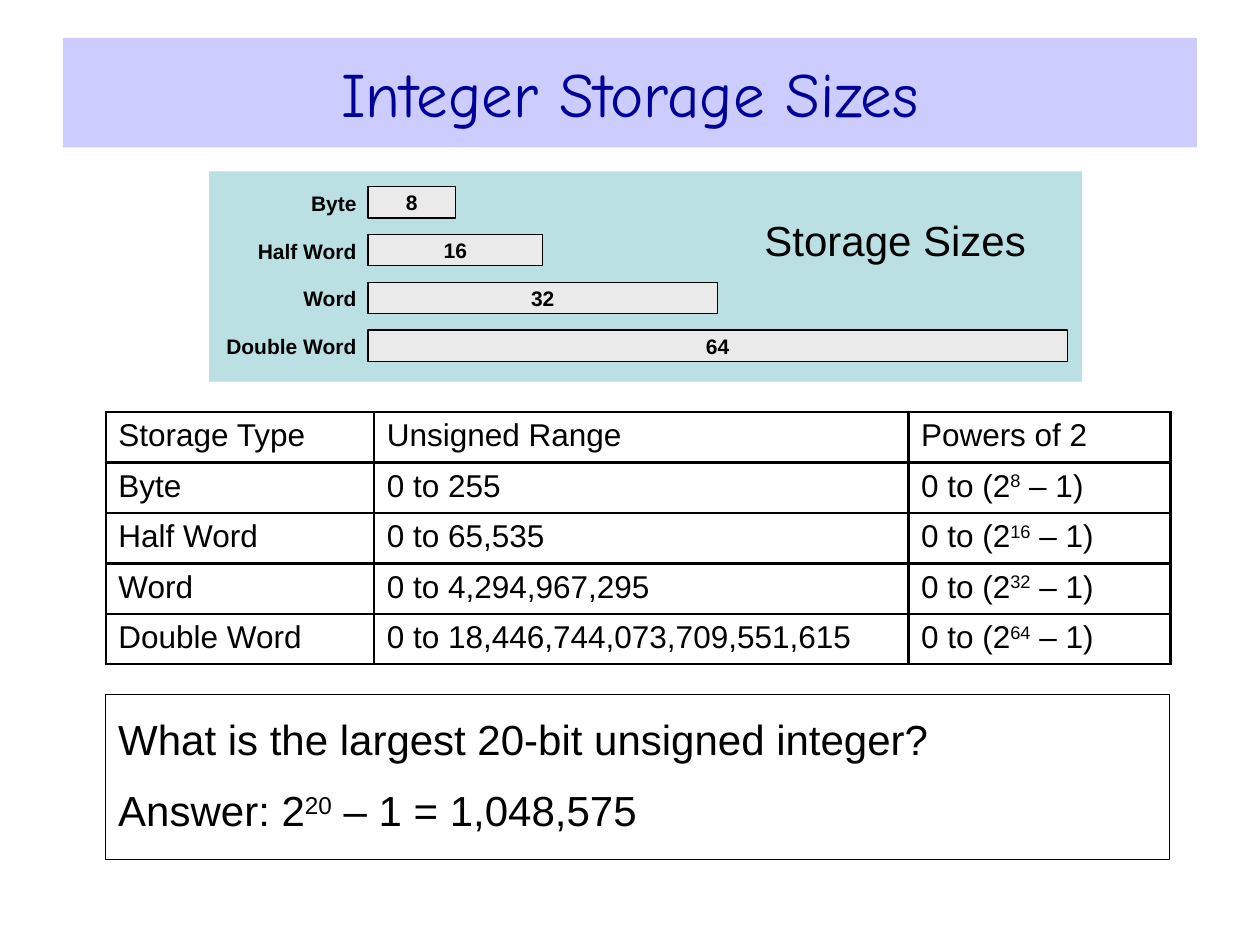
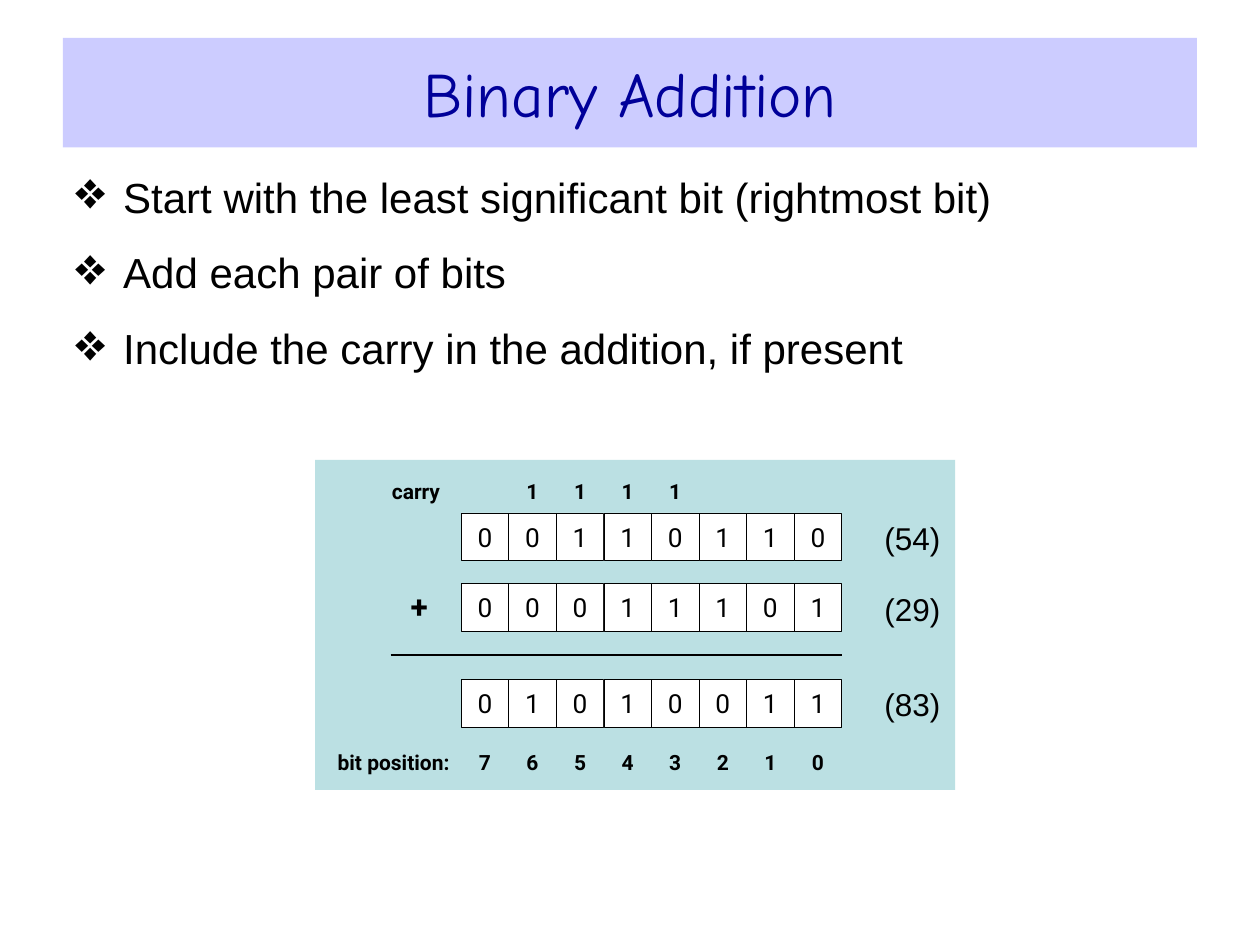
from lxml.etree import SubElement
from pptx import Presentation
from pptx.dml.color import RGBColor
from pptx.enum.shapes import MSO_CONNECTOR, MSO_SHAPE
from pptx.enum.text import MSO_ANCHOR, PP_ALIGN
from pptx.oxml.ns import qn
from pptx.util import Inches, Pt

COLORS = {
    "black": "000000",
    "white": "FFFFFF",
    "navy": "000099",
    "band": "CCCCFF",
    "panel": "BBE0E3",
    "bar": "EAEAEA",
}
TITLE = {"name": "Comic Neue", "size": Pt(36)}
LARGE = {"name": "Arial", "size": Pt(24)}
BODY = {"name": "Arial", "size": Pt(18)}
LABEL = {"name": "Arial", "size": Pt(12), "bold": True}
DIGIT = {"name": "Roboto", "size": Pt(15)}
SMALL = {"name": "Roboto", "size": Pt(12), "bold": True}
PLUS = {"name": "Roboto", "size": Pt(18), "bold": True}
PAD = (0.1, 0.05, 0.1, 0.05)
NONE = (0, 0, 0, 0)
TALL = (0.1, 0.15, 0.1, 0.15)
LEFT, MID, RIGHT = PP_ALIGN.LEFT, PP_ALIGN.CENTER, PP_ALIGN.RIGHT
TOP, CORE = MSO_ANCHOR.TOP, MSO_ANCHOR.MIDDLE


def paint(name):
    return RGBColor.from_string(COLORS[name])


def apply(item, values):
    for key, value in values.items():
        setattr(item, key, value)


def write(frame, lines, style, color="black", align=LEFT, gap=0):
    for row, line in enumerate(lines):
        para = frame.paragraphs[0] if row == 0 else frame.add_paragraph()
        apply(para, {"alignment": align, "space_before": Pt(gap if row else 0)})
        for part, text in enumerate(line.split("^")):
            run = para.add_run()
            run.text = text
            apply(run.font, style)
            run.font.color.rgb = paint(color)
            if part % 2:
                run.font._element.set("baseline", "30000")


def set_frame(frame, pad, anchor):
    sides = ("margin_left", "margin_top", "margin_right", "margin_bottom")
    apply(frame, dict(zip(sides, map(Inches, pad))))
    apply(frame, {"vertical_anchor": anchor, "word_wrap": True})


def add_box(slide, place, fill=None, line=0, pad=NONE, anchor=CORE):
    box = slide.shapes.add_shape(MSO_SHAPE.RECTANGLE, *map(Inches, place))
    box.shadow.inherit = False
    if fill:
        box.fill.solid()
        box.fill.fore_color.rgb = paint(fill)
    else:
        box.fill.background()
    if line:
        box.line.color.rgb = paint("black")
        box.line.width = Pt(line)
    else:
        box.line.fill.background()
    set_frame(box.text_frame, pad, anchor)
    return box.text_frame


def add_text(slide, place, lines, style, align=LEFT, pad=NONE, anchor=TOP,
             gap=0):
    frame = slide.shapes.add_textbox(*map(Inches, place)).text_frame
    set_frame(frame, pad, anchor)
    write(frame, lines, style, align=align, gap=gap)
    return frame


def add_slide(deck, title):
    slide = deck.slides.add_slide(deck.slide_layouts[6])
    band = add_box(slide, (0.5, 0.3, 9, 0.87), "band", pad=PAD)
    write(band, [title], TITLE, "navy", MID)
    return slide


def add_bars(slide, sizes):
    add_box(slide, (1.66, 1.36, 6.93, 1.67), "panel")
    for row, (name, bits) in enumerate(sizes):
        top = 1.48 + 0.38 * row
        add_text(slide, (1.66, top, 1.17, 0.26), [name], LABEL, RIGHT,
                 anchor=CORE)
        bar = add_box(slide, (2.92, top, 5.55 * bits / 64, 0.25), "bar", 0.75)
        write(bar, [str(bits)], LABEL, align=MID)
    add_text(slide, (5.94, 1.55, 2.33, 0.7), ["Storage Sizes"], LARGE, MID,
             (0, 0.15, 0, 0.15))


def add_edges(cell):
    props = cell._tc.get_or_add_tcPr()
    for spot, side in enumerate(("lnL", "lnR", "lnT", "lnB")):
        edge = props.makeelement(qn(f"a:{side}"), {"w": str(Pt(1.5))})
        fill = SubElement(edge, qn("a:solidFill"))
        SubElement(fill, qn("a:srgbClr"), val=COLORS["black"])
        props.insert(spot, edge)


def add_grid(slide, rows, widths):
    place = map(Inches, (0.84, 3.27, sum(widths), 0.4 * len(rows)))
    table = slide.shapes.add_table(len(rows), len(widths), *place).table
    apply(table, {"first_row": False, "horz_banding": False})
    for col, width in zip(table.columns, widths):
        col.width = Inches(width)
    for row, texts in enumerate(rows):
        for col, text in enumerate(texts):
            cell = table.cell(row, col)
            cell.fill.background()
            write(cell.text_frame, [text], BODY)
            add_edges(cell)


def add_list(slide, lines):
    frame = add_text(slide, (0.5, 1.31, 9, 2), lines, LARGE, pad=PAD, gap=14.4)
    for para in frame.paragraphs:
        props = para._p.get_or_add_pPr()
        indent = Inches(0.38)
        props.set("marL", str(indent))
        props.set("indent", str(-indent))
        SubElement(props, qn("a:buSzPct"), val="125000")
        SubElement(props, qn("a:buChar"), char="❖")


def add_rule(slide, start, end, top):
    rule = slide.shapes.add_connector(
        MSO_CONNECTOR.STRAIGHT, *map(Inches, (start, top, end, top)))
    rule.line.color.rgb = paint("black")
    rule.line.width = Pt(1.13)
    SubElement(rule._element.spPr, qn("a:effectLst"))


def add_sum(slide, rows, carry):
    left, right = 3.66, 6.68
    step = (right - left) / 8
    add_box(slide, (2.5, 3.65, 5.08, 2.62), "panel")
    for top, bits, value in rows:
        for col, bit in enumerate(bits):
            cell = add_box(slide, (left + col * step, top, step, 0.38),
                           "white", 0.38)
            write(cell, [bit], DIGIT, align=MID)
        add_text(slide, (7.02, top + 0.05, 0.54, 0.3), [f"({value})"], BODY)
    for top, marks in ((3.8, carry), (5.95, "76543210")):
        for col, mark in enumerate(marks):
            if mark != " ":
                add_text(slide, (left + col * step, top, step, 0.2), [mark],
                         SMALL, MID)
    add_text(slide, (3.11, 3.8, 0.51, 0.2), ["carry"], SMALL)
    add_text(slide, (2.68, 5.95, 0.96, 0.2), ["bit position:"], SMALL)
    add_text(slide, (3.26, 4.66, 0.2, 0.3), ["+"], PLUS)
    add_rule(slide, 3.1, right, 5.2)


def main():
    deck = Presentation()
    apply(deck, {"slide_width": Inches(10), "slide_height": Inches(7.5)})

    slide = add_slide(deck, "Integer Storage Sizes")
    sizes = [("Byte", 8), ("Half Word", 16), ("Word", 32), ("Double Word", 64)]
    add_bars(slide, sizes)
    rows = [("Storage Type", "Unsigned Range", "Powers of 2")]
    rows += [(name, f"0 to {2 ** bits - 1:,}", f"0 to (2^{bits}^ – 1)")
             for name, bits in sizes]
    add_grid(slide, rows, (2.13, 4.24, 2.08))
    quiz = add_box(slide, (0.84, 5.51, 8.44, 1.31), line=0.75, pad=TALL,
                   anchor=TOP)
    write(quiz, ["What is the largest 20-bit unsigned integer?",
                 "Answer: 2^20^ – 1 = 1,048,575"], LARGE, gap=12.2)

    slide = add_slide(deck, "Binary Addition")
    add_list(slide, ["Start with the least significant bit (rightmost bit)",
                     "Add each pair of bits",
                     "Include the carry in the addition, if present"])
    add_sum(slide, [(4.07, "00110110", 54), (4.63, "00011101", 29),
                    (5.39, "01010011", 83)], " 1111")
    deck.save("out.pptx")


if __name__ == "__main__":
    main()
